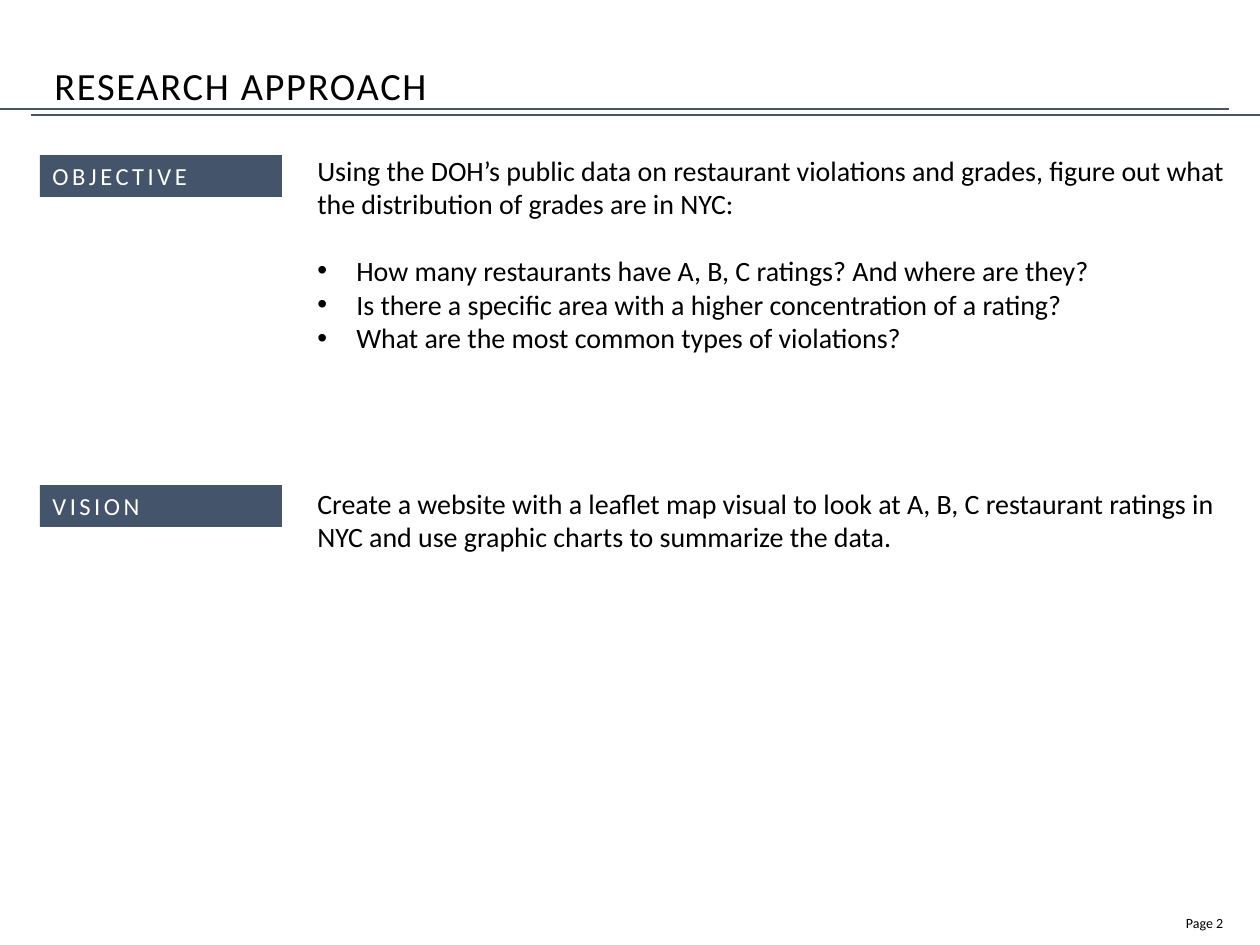
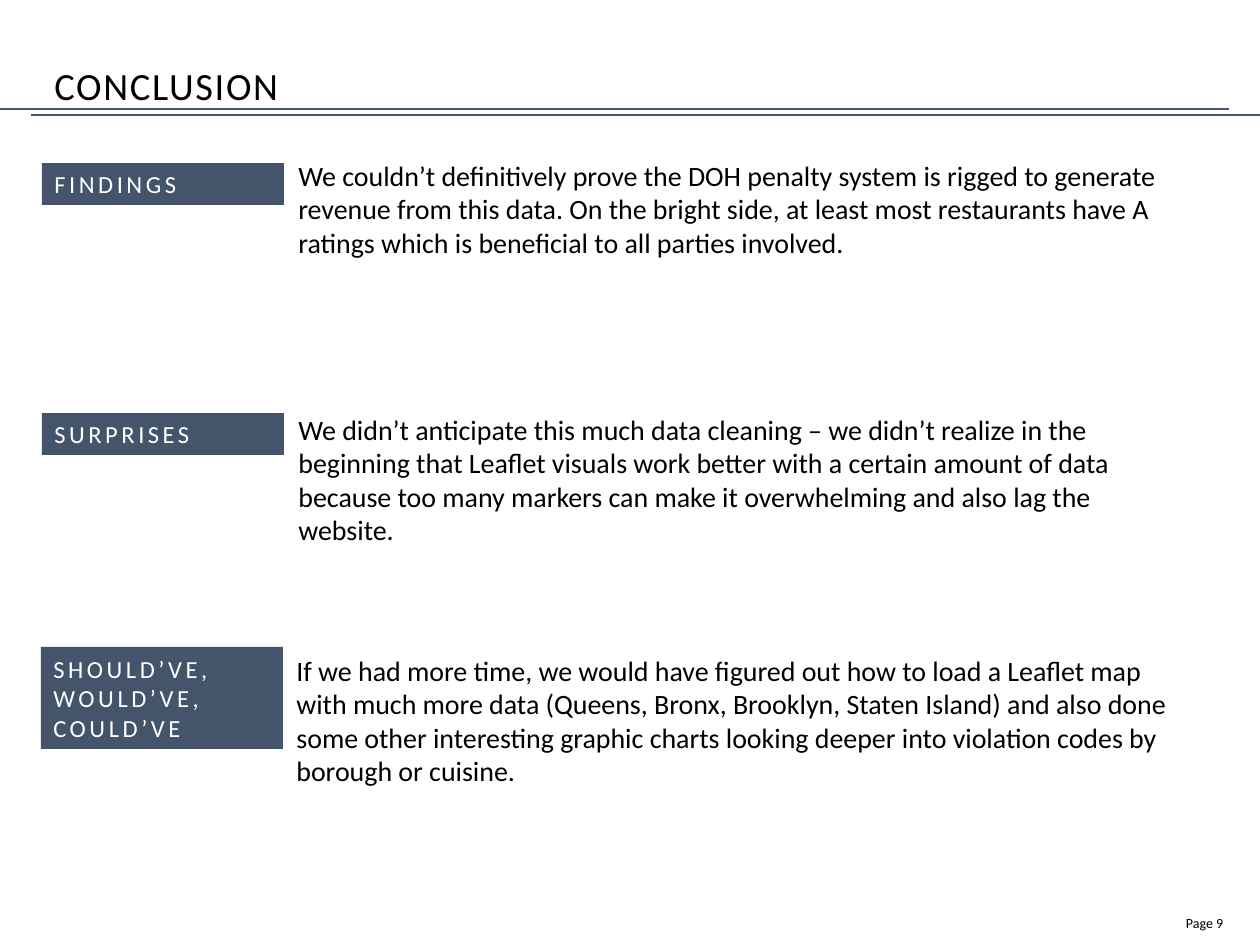
"""Build the research approach and conclusion slides."""
from lxml.etree import SubElement
from pptx import Presentation
from pptx.dml.color import RGBColor
from pptx.enum.shapes import MSO_CONNECTOR, MSO_SHAPE
from pptx.enum.text import MSO_ANCHOR, PP_ALIGN
from pptx.oxml.ns import qn
from pptx.util import Pt

PX = 914400 / 126
NAVY, BLACK, WHITE = "44546A", "000000", "FFFFFF"
BULLET = "• "
LABEL_W, INDENT = 242, 39

SLIDES = [
    ("RESEARCH APPROACH", "Page 2 ", [
        ((40, 155, 42), ["OBJECTIVE"], (305, 147, 935, 217), [
            "Using the DOH’s public data on restaurant violations and grades, "
            "figure out what the distribution of grades are in NYC:",
            BULLET + "How many restaurants have A, B, C ratings? And where are they?",
            BULLET + "Is there a specific area with a higher concentration of a rating?",
            BULLET + "What are the most common types of violations?"]),
        ((40, 485, 42), ["VISION"], (305, 480, 935, 81), [
            "Create a website with a leaflet map visual to look at A, B, C restaurant "
            "ratings in NYC and use graphic charts to summarize the data."]),
    ]),
    ("CONCLUSION", "Page 9 ", [
        ((42, 163, 42), ["FINDINGS"], (286, 152, 914, 115), [
            "We couldn’t definitively prove the DOH penalty system is rigged to generate "
            "revenue from this data. On the bright side, at least most restaurants have A "
            "ratings which is beneficial to all parties involved."]),
        ((42, 413, 42), ["SURPRISES"], (286, 406, 914, 149), [
            "We didn’t anticipate this much data cleaning – we didn’t realize in the "
            "beginning that Leaflet visuals work better with a certain amount of data "
            "because too many markers can make it overwhelming and also lag the website."]),
        ((41, 647, 102), ["SHOULD’VE, WOULD’VE,", "COULD’VE"], (284, 647, 914, 149), [
            "If we had more time, we would have figured out how to load a Leaflet map with "
            "much more data (Queens, Bronx, Brooklyn, Staten Island) and also done some "
            "other interesting graphic charts looking deeper into violation codes by "
            "borough or cuisine."]),
    ]),
]


def px(*values):
    return [round(v * PX) for v in values]


def write(sp, paragraphs, size, color=BLACK, spacing=0, anchor=MSO_ANCHOR.TOP,
          align=PP_ALIGN.LEFT):
    tf = sp.text_frame
    tf.word_wrap = True
    tf.vertical_anchor = anchor
    bulleted = False
    for i, text in enumerate(paragraphs):
        p = tf.paragraphs[0] if i == 0 else tf.add_paragraph()
        p.alignment = align
        if text.startswith(BULLET):
            if not bulleted:
                p.space_before = Pt(19)
            bulleted = True
            pPr = p._p.get_or_add_pPr()
            pPr.set("marL", str(px(INDENT)[0]))
            pPr.set("indent", str(px(-INDENT)[0]))
            SubElement(pPr, qn("a:buFont")).set("typeface", "Arial")
            SubElement(pPr, qn("a:buChar")).set("char", BULLET.strip())
        r = p.add_run()
        r.text = text.removeprefix(BULLET)
        r.font.name = "Calibri"
        r.font.size = Pt(size)
        r.font.color.rgb = RGBColor.from_string(color)
        if spacing:
            r._r.get_or_add_rPr().set("spc", str(spacing * 100))
    return tf


prs = Presentation()
prs.slide_width, prs.slide_height = px(1260, 945)

for title, page, sections in SLIDES:
    s = prs.slides.add_slide(prs.slide_layouts[6])

    sp = s.shapes.add_textbox(*px(756, 891, 483, 63))
    write(sp, [page], 8, anchor=MSO_ANCHOR.MIDDLE, align=PP_ALIGN.RIGHT)

    for x1, x2, y in [(0, 1229, 109), (31, 1260, 115)]:
        line = s.shapes.add_connector(MSO_CONNECTOR.STRAIGHT, *px(x1, y, x2, y))
        line.line.color.rgb = RGBColor.from_string(NAVY)
        line.line.width = Pt(1.5)
        SubElement(line._element.spPr, qn("a:effectLst"))

    sp = s.shapes.add_textbox(*px(42, 6, 1176, 109))
    tf = write(sp, [title], 22, spacing=1, anchor=MSO_ANCHOR.BOTTOM)
    tf.paragraphs[0].line_spacing = 0.9

    for (x, y, h), label, body_box, body in sections:
        sp = s.shapes.add_shape(MSO_SHAPE.RECTANGLE, *px(x, y, LABEL_W, h))
        sp.shadow.inherit = False
        sp.fill.solid()
        sp.fill.fore_color.rgb = RGBColor.from_string(NAVY)
        sp.line.fill.background()
        write(sp, label, 14, WHITE, spacing=2, anchor=MSO_ANCHOR.MIDDLE)

        sp = s.shapes.add_textbox(*px(*body_box))
        write(sp, body, 16)

prs.save("out.pptx")
